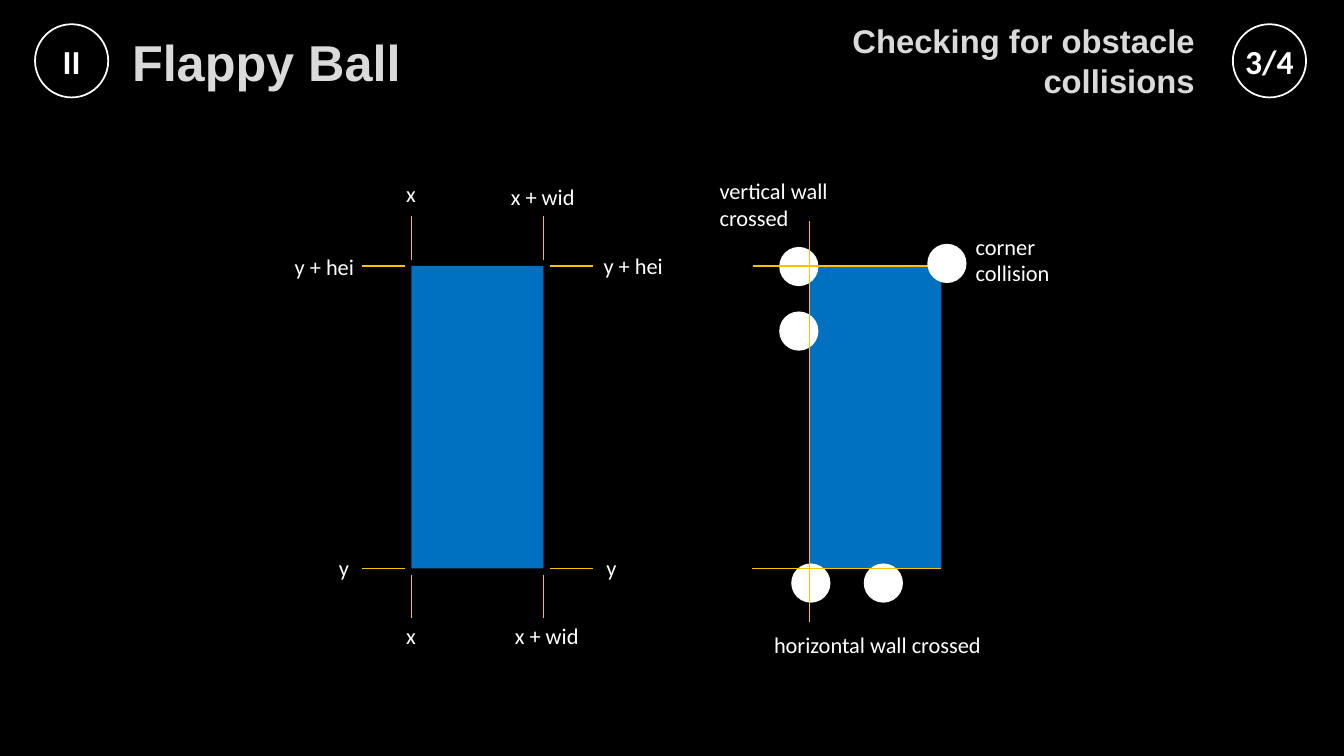
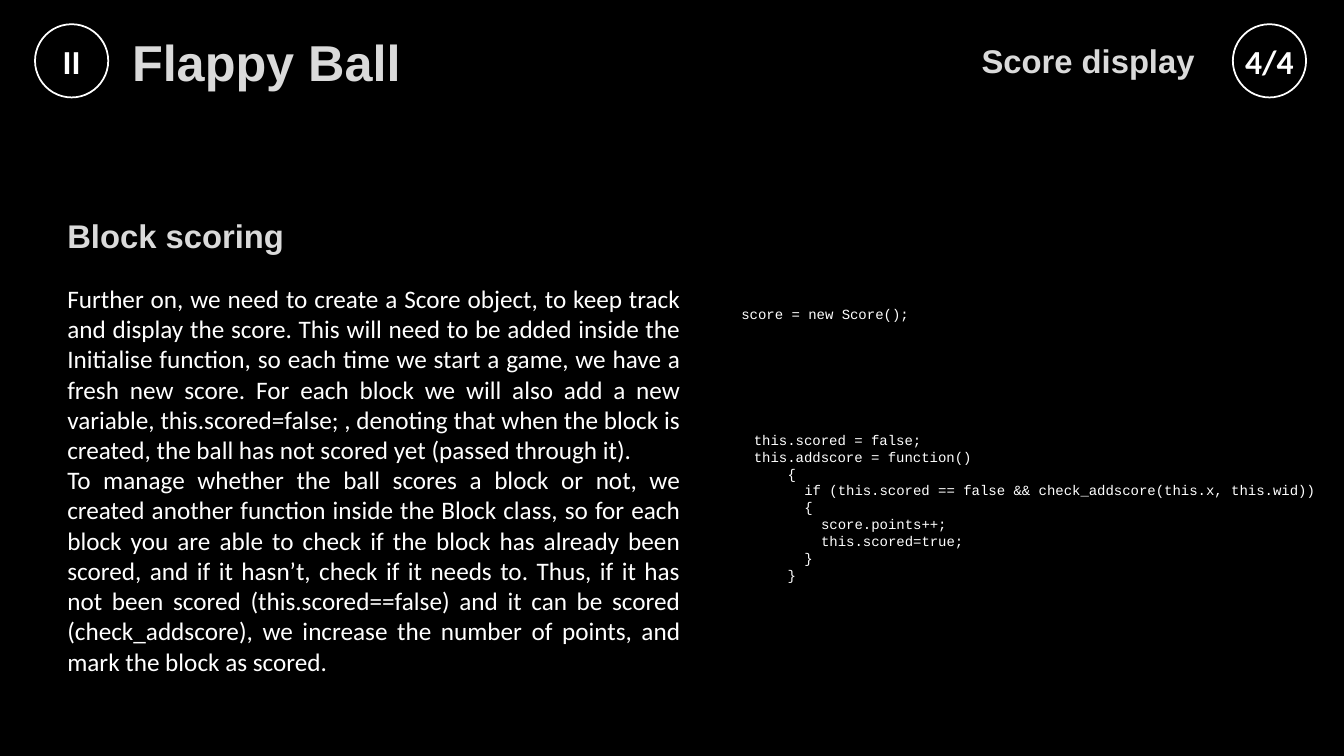
from lxml import etree
from pptx import Presentation
from pptx.dml.color import RGBColor
from pptx.enum import shapes as kinds, text as layout
from pptx.oxml import parse_xml
from pptx.oxml.ns import nsdecls, qn
from pptx.util import Pt

BLACK, WHITE, SILVER, BLUE, AMBER = "000000", "FFFFFF", "DADADA", "0070C0", "FFC000"
LEFT, CENTER, RIGHT, JUSTIFY = (
    layout.PP_ALIGN.LEFT, layout.PP_ALIGN.CENTER, layout.PP_ALIGN.RIGHT, layout.PP_ALIGN.JUSTIFY)
TOP, MIDDLE = layout.MSO_ANCHOR.TOP, layout.MSO_ANCHOR.MIDDLE
RECTANGLE, OVAL = kinds.MSO_SHAPE.RECTANGLE, kinds.MSO_SHAPE.OVAL

TITLE = {"name": "Arial", "size": Pt(36), "bold": True}
HEADING = {"name": "Arial", "size": Pt(23.4), "bold": True}
BADGE = {"name": "Calibri", "size": Pt(24), "bold": True}
LABEL = {"name": "Calibri", "size": Pt(16), "bold": False}
BODY = {"name": "Calibri", "size": Pt(18), "bold": False}
CODE = {"name": "Courier New", "size": Pt(10), "bold": False}
CODE_CHAR = 6

SECTION, DECK_TITLE = "II", "Flappy Ball"
TOPICS = [("Checking for obstacle collisions", "3/4"), ("Score display", "4/4")]

BLOCK_W, BLOCK_H, BLOCK_TOP = 94.3, 216, 190
SIDES_X, WALLS_X = 293.8, 578.2
TICK_GAP, TICK = 4.5, 31
BALL = 28

LABELS = [
    ("x", 283, 440.6, 26, LEFT),
    ("x + wid", 360.7, 440.6, 62, LEFT),
    ("x", 283, 125.3, 26, LEFT),
    ("x + wid", 357.8, 127.2, 62, LEFT),
    ("y", 426, 392.4, 62, LEFT),
    ("y", 194.4, 392.4, 62, RIGHT),
    ("y + hei", 198, 177, 62, RIGHT),
    ("y + hei", 424, 176.4, 62, LEFT),
    ("corner collision", 689.8, 162.7, 78.5, LEFT),
    ("horizontal wall crossed", 545.8, 447.1, 183, LEFT),
    ("vertical wall crossed", 506.9, 123.1, 97.2, LEFT),
]
WALL_BALLS = [(565.2, 402.5), (617, 402.5), (556.6, 176.4), (556.6, 222.5)]
CORNER_BALL = (662.4, 174.2)
WALL_LINES = [
    (537.1, 406, 672.5, 406),
    (664.6, 190, 537.8, 190),
    (578.2, 157.7, 578.2, 444.2),
]

SCORING_TITLE = "Block scoring"
SCORING = [
    "Further on, we need to create a Score object, to keep track and display the score. "
    "This will need to be added inside the Initialise function, so each time we start a game, "
    "we have a fresh new score. For each block we will also add a new variable, "
    "this.scored=false; , denoting that when the block is created, the ball has not scored yet "
    "(passed through it).",
    "To manage whether the ball scores a block or not, we created another function inside the "
    "Block class, so for each block you are able to check if the block has already been scored, "
    "and if it hasn’t, check if it needs to. Thus, if it has not been scored "
    "(this.scored==false) and it can be scored (check_addscore), we increase the number of "
    "points, and mark the block as scored.",
]
CREATE_CODE = [(2, "score = new Score();")]
SCORE_CODE = [
    (0, "this.scored = false;"),
    (0, "this.addscore = function()"),
    (4, "{"),
    (6, "if (this.scored == false && check_addscore(this.x, this.wid))"),
    (6, "{"),
    (8, "score.points++;"),
    (8, "this.scored=true;"),
    (6, "}"),
    (4, "}"),
]


def color(value):
    return RGBColor.from_string(value)


def place(shape, *frame):
    for name, value in zip(("left", "top", "width", "height"), frame):
        setattr(shape, name, Pt(value))


def write(shape, lines, style, ink=WHITE, align=LEFT, anchor=TOP):
    frame = shape.text_frame
    frame.word_wrap = True
    frame.auto_size = layout.MSO_AUTO_SIZE.NONE
    frame.vertical_anchor = anchor
    for index, line in enumerate(lines):
        para = frame.add_paragraph() if index else frame.paragraphs[0]
        para.alignment = align
        span = para.add_run()
        span.text = line
        for name, value in style.items():
            setattr(span.font, name, value)
        span.font.color.rgb = color(ink)
    return frame


def write_outlined(shape, line, style, align=LEFT):
    frame = write(shape, [line], style, SILVER, align, MIDDLE)
    outline = parse_xml(
        f'<a:ln {nsdecls("a")} w="9525"><a:solidFill><a:srgbClr val="404040">'
        '<a:alpha val="10000"/></a:srgbClr></a:solidFill><a:prstDash val="solid"/></a:ln>')
    frame.paragraphs[0].runs[0].font._element.insert(0, outline)


def add_box(page, *frame):
    return page.shapes.add_textbox(*map(Pt, frame))


def add_shape(page, kind, frame, fill=None, line=None):
    shape = page.shapes.add_shape(kind, *map(Pt, frame))
    shape.shadow.inherit = False
    if fill:
        shape.fill.solid()
        shape.fill.fore_color.rgb = color(fill)
    else:
        shape.fill.background()
    if line:
        shape.line.color.rgb = color(line)
        shape.line.width = Pt(1.25)
    else:
        shape.line.fill.background()
    return shape


def add_line(page, *ends):
    line = page.shapes.add_connector(kinds.MSO_CONNECTOR.STRAIGHT, *map(Pt, ends))
    line.line.color.rgb = color(AMBER)
    line.line.width = Pt(1)
    etree.SubElement(line._element.spPr, qn("a:effectLst"))


def add_badge(page, left, label):
    badge = add_shape(page, OVAL, (left, 17.3, 52.3, 52.3), line=WHITE)
    frame = write(badge, [label], BADGE, align=CENTER, anchor=MIDDLE)
    for side in ("left", "top", "right", "bottom"):
        setattr(frame, f"margin_{side}", 0)


def add_block(page, left):
    add_shape(page, RECTANGLE, (left, BLOCK_TOP, BLOCK_W, BLOCK_H), BLUE)


def add_ball(page, left, top):
    add_shape(page, OVAL, (left, top, BALL, BALL), WHITE)


def add_code(page, left, top, width, height, code):
    box = add_box(page, left, top, width, height)
    frame = write(box, [line for _, line in code], CODE)
    for para, (indent, _) in zip(frame.paragraphs, code):
        para._p.get_or_add_pPr().set("marL", str(Pt(indent * CODE_CHAR)))


def add_page(deck, topic, number):
    page = deck.slides.add_slide(deck.slide_layouts.get_by_name("Title Only"))
    place(page.shapes.title, 87.1, 24.5, 743, 38.2)
    write_outlined(page.shapes.title, DECK_TITLE, TITLE)
    add_badge(page, 25, SECTION)
    add_badge(page, 880.6, number)
    write_outlined(add_box(page, 519.1, 11.5, 341.3, 63.4), topic, HEADING, RIGHT)
    return page


def draw_sides(page):
    add_block(page, SIDES_X)
    right, bottom = SIDES_X + BLOCK_W, BLOCK_TOP + BLOCK_H
    for x, outward_x in ((SIDES_X, -1), (right, 1)):
        for y, outward_y in ((BLOCK_TOP, -1), (bottom, 1)):
            near_x, near_y = x + outward_x * TICK_GAP, y + outward_y * TICK_GAP
            add_line(page, near_x, y, near_x + outward_x * TICK, y)
            add_line(page, x, near_y, x, near_y + outward_y * TICK)


def draw_walls(page):
    add_block(page, WALLS_X)
    for ball in WALL_BALLS:
        add_ball(page, *ball)
    for ends in WALL_LINES:
        add_line(page, *ends)
    add_ball(page, *CORNER_BALL)


def fill_collisions(page):
    draw_sides(page)
    draw_walls(page)
    for label, left, top, width, align in LABELS:
        write(add_box(page, left, top, width, 26.6), [label], LABEL, align=align)


def fill_score(page):
    write_outlined(add_box(page, 41, 136.1, 469.4, 63.4), SCORING_TITLE, HEADING)
    write(add_box(page, 41, 198.7, 452.2, 290.9), SCORING, BODY, align=JUSTIFY)
    add_code(page, 510.5, 214.6, 440, 19.4, CREATE_CODE)
    add_code(page, 531.4, 304.6, 428, 116.6, SCORE_CODE)


def main():
    deck = Presentation()
    deck.slide_width, deck.slide_height = Pt(960), Pt(540)
    backdrop = deck.slide_master.background.fill
    backdrop.solid()
    backdrop.fore_color.rgb = color(BLACK)
    for (topic, number), fill_page in zip(TOPICS, (fill_collisions, fill_score)):
        fill_page(add_page(deck, topic, number))
    deck.save("out.pptx")


if __name__ == "__main__":
    main()
